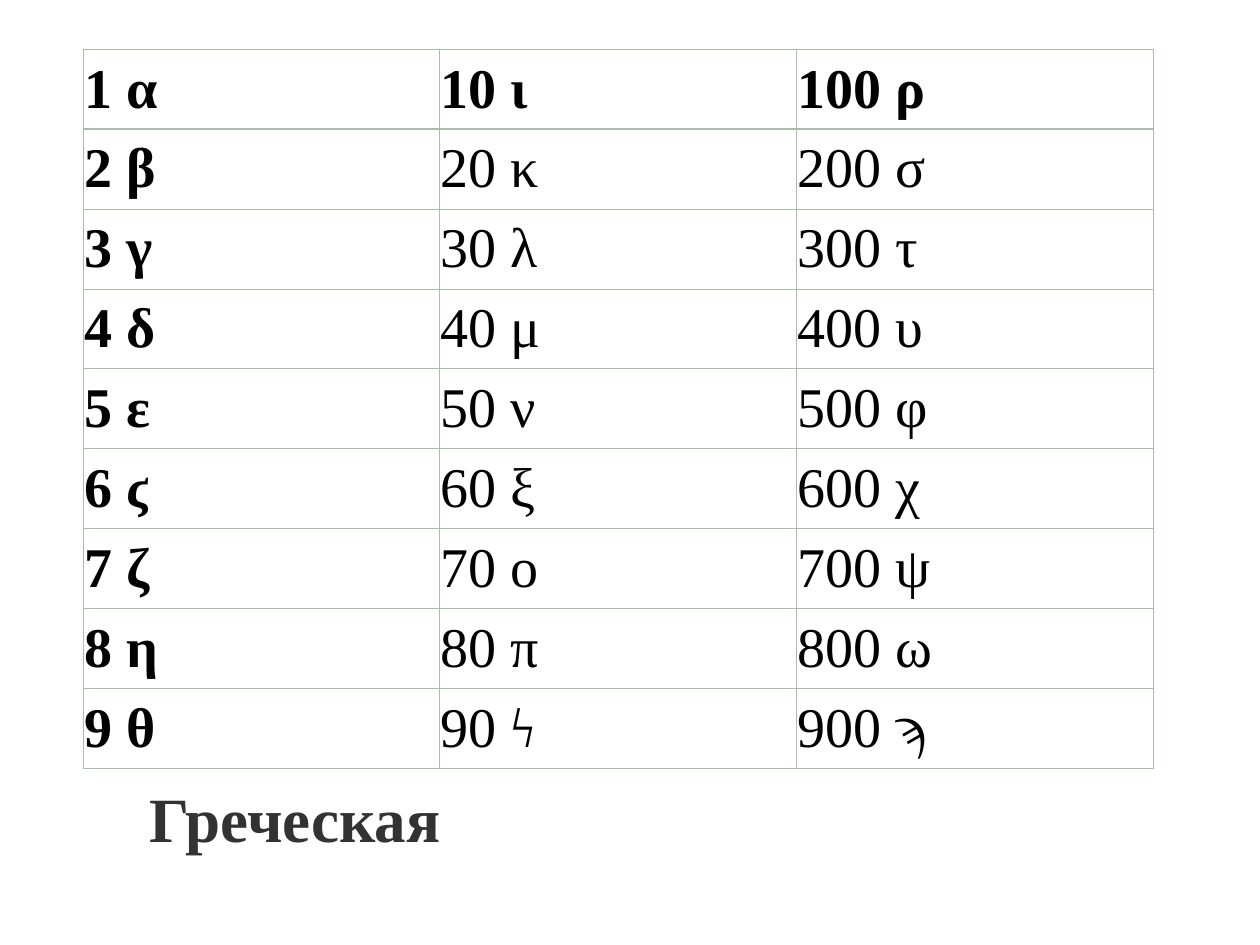
from lxml import etree
from pptx import Presentation
from pptx.dml.color import RGBColor
from pptx.enum.text import MSO_ANCHOR, MSO_AUTO_SIZE
from pptx.oxml.ns import qn
from pptx.util import Inches, Pt

MIDDLE = MSO_ANCHOR.MIDDLE
GROW = MSO_AUTO_SIZE.SHAPE_TO_FIT_TEXT
FONT = "Times New Roman"
LETTERS = ["αβγδεϛζηθ", "ικλμνξοπϟ", "ρστυφχψωϡ"]
COL_W, ROW_H = 2.83, 5.71 / 9


def style(p, size, color, bold):
    f = p.runs[0].font
    f.name, f.size, f.bold = FONT, Pt(size), bold
    f.color.rgb = RGBColor.from_string(color)


def add_border(cell, side, width, color):
    ln = etree.SubElement(cell._tc.get_or_add_tcPr(), qn("a:" + side), w=str(Pt(width)))
    fill = etree.SubElement(ln, qn("a:solidFill"))
    etree.SubElement(fill, qn("a:srgbClr"), val=color)


prs = Presentation()
prs.slide_width, prs.slide_height = Inches(10), Inches(7.5)
s = prs.slides.add_slide(prs.slide_layouts[6])

# Numerals: units, tens and hundreds in columns
rows, cols = len(LETTERS[0]), len(LETTERS)
table = s.shapes.add_table(rows, cols, Inches(0.66), Inches(0.39),
                           Inches(COL_W * cols), Inches(ROW_H * rows)).table
table.first_row = table.horz_banding = False
for c, letters in enumerate(LETTERS):
    for r, letter in enumerate(letters):
        cell = table.cell(r, c)
        cell.margin_left = cell.margin_right = Inches(0.01)
        cell.margin_top = cell.margin_bottom = Inches(0.05)
        cell.vertical_anchor = MIDDLE
        p = cell.text_frame.paragraphs[0]
        p.text = f"{(r + 1) * 10 ** c} {letter}"
        style(p, 32, "000000", r == 0 or c == 0)
        for side in ("lnL", "lnR", "lnT", "lnB"):
            under_header = (r, side) in ((0, "lnB"), (1, "lnT"))
            add_border(cell, side, 1.47 if under_header else 0.45, "A9BDA9")
        cell.fill.background()

# Caption
tf = s.shapes.add_textbox(Inches(1.09), Inches(6.14), Inches(2.55), Inches(0.7)).text_frame
tf.word_wrap = False
tf.auto_size = GROW
tf.text = "Греческая"
style(tf.paragraphs[0], 36, "333333", True)

prs.save("out.pptx")
